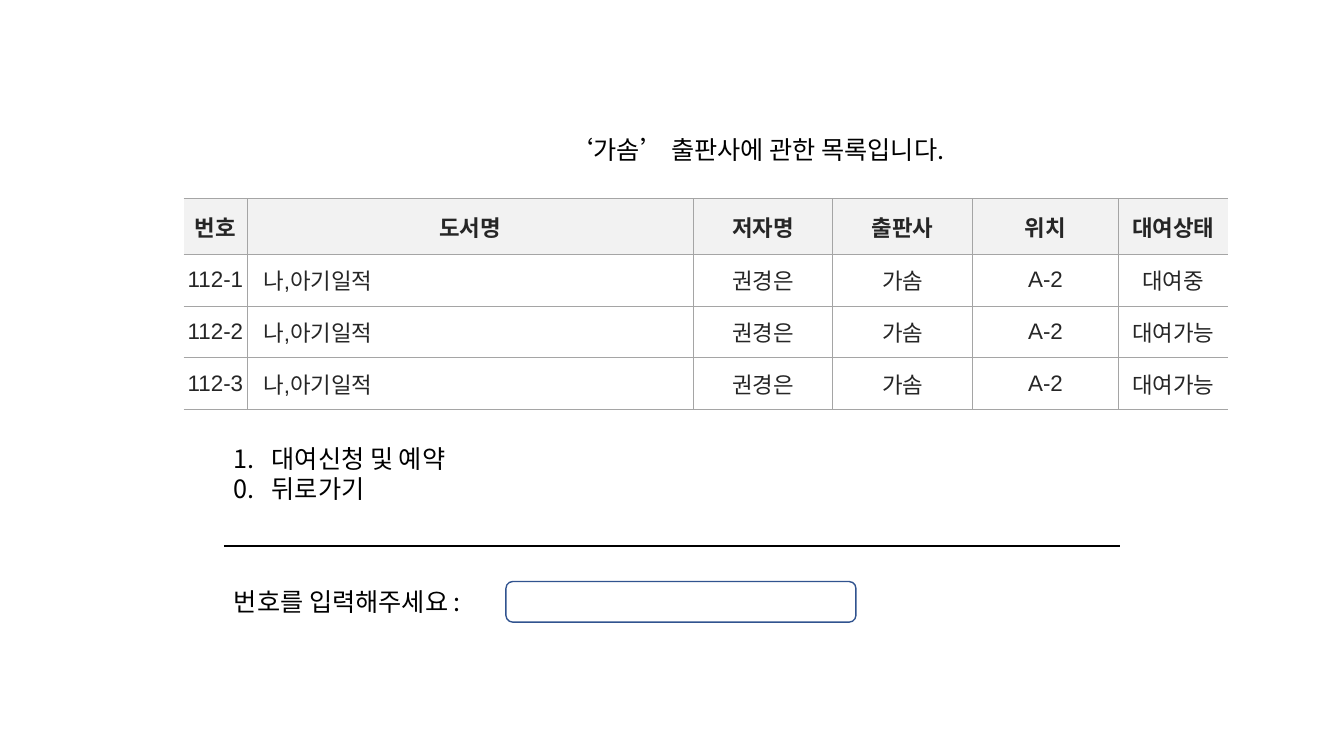
from lxml import etree
from pptx import Presentation
from pptx.dml.color import RGBColor
from pptx.enum.shapes import MSO_CONNECTOR, MSO_SHAPE
from pptx.enum.text import MSO_ANCHOR, MSO_AUTO_SIZE, PP_ALIGN
from pptx.oxml.ns import qn
from pptx.util import Pt

LEFT, CENTER = PP_ALIGN.LEFT, PP_ALIGN.CENTER
TOP, MIDDLE = MSO_ANCHOR.TOP, MSO_ANCHOR.MIDDLE
NO_AUTOFIT = MSO_AUTO_SIZE.NONE
STRAIGHT = MSO_CONNECTOR.STRAIGHT
ROUNDED = MSO_SHAPE.ROUNDED_RECTANGLE
TITLE_ONLY = 5
KOREAN, LATIN = "Noto Sans CJK KR", "Arial"
BLACK, WHITE, GRID = "000000", "FFFFFF", "A5A5A5"

COLUMN_WIDTHS = [45.4, 318.5, 99.8, 99.8, 104.4, 78.1]
ROW_HEIGHTS = [39.9, 36.9, 36.9, 36.9]
TITLE_COLUMN = 1
HEADINGS = ["번호", "도서명", "저자명", "출판사", "위치", "대여상태"]
PUBLISHER = "가솜"
BOOK = ["나,아기일적", "권경은", PUBLISHER, "A-2"]
STATUSES = ["대여중", "대여가능", "대여가능"]


def color(hex_code):
    return RGBColor.from_string(hex_code)


def add_run(paragraph, words, size=18, font=KOREAN, ink=BLACK, bold=False):
    run = paragraph.add_run()
    run.text = words
    run.font.size = Pt(size)
    run.font.name = font
    run.font.bold = bold
    run.font.color.rgb = color(ink)
    etree.SubElement(run.font._element, qn("a:ea"), typeface=KOREAN)


def set_frame(frame):
    frame.word_wrap = True
    frame.auto_size = NO_AUTOFIT
    frame.vertical_anchor = TOP
    frame.margin_left = frame.margin_right = Pt(7.2)
    frame.margin_top = frame.margin_bottom = Pt(3.6)


def add_text_box(slide, left, top, width, height):
    frame = slide.shapes.add_textbox(Pt(left), Pt(top), Pt(width), Pt(height)).text_frame
    set_frame(frame)
    return frame


def place_heading(slide, left, top, width, height):
    heading = slide.shapes.title
    heading.left, heading.top = Pt(left), Pt(top)
    heading.width, heading.height = Pt(width), Pt(height)
    set_frame(heading.text_frame)
    paragraph = heading.text_frame.paragraphs[0]
    paragraph.alignment = CENTER
    paragraph.line_spacing = 1.0
    paragraph.space_before = Pt(0)
    add_run(paragraph, f"‘{PUBLISHER}’ 출판사에 관한 목록입니다.")


def set_borders(cell, open_sides):
    properties = cell._tc.get_or_add_tcPr()
    for position, side in enumerate("LRTB"):
        border = etree.Element(qn(f"a:ln{side}"), w=str(Pt(0.75)))
        if side in open_sides:
            etree.SubElement(border, qn("a:noFill"))
        else:
            fill = etree.SubElement(border, qn("a:solidFill"))
            etree.SubElement(fill, qn("a:srgbClr"), val=GRID)
        properties.insert(position, border)


def fill_cell(cell, words, is_heading, is_book_title, open_sides):
    cell.fill.solid()
    cell.fill.fore_color.rgb = color("F2F2F2" if is_heading else WHITE)
    cell.vertical_anchor = MIDDLE
    cell.margin_left = Pt(11.5 if is_book_title else 0)
    cell.margin_right = cell.margin_top = cell.margin_bottom = Pt(0)
    paragraph = cell.text_frame.paragraphs[0]
    paragraph.alignment = LEFT if is_book_title else CENTER
    add_run(paragraph, words, 16, LATIN, "262626", is_heading)
    set_borders(cell, open_sides)


def add_book_table(slide, left, top):
    rows = [HEADINGS]
    for number, status in enumerate(STATUSES, 1):
        rows.append([f"112-{number}", *BOOK, status])
    table = slide.shapes.add_table(
        len(rows), len(HEADINGS), Pt(left), Pt(top),
        Pt(sum(COLUMN_WIDTHS)), Pt(sum(ROW_HEIGHTS))).table
    table.first_row = table.horz_banding = False
    for column, width in zip(table.columns, COLUMN_WIDTHS):
        column.width = Pt(width)
    for row, height in zip(table.rows, ROW_HEIGHTS):
        row.height = Pt(height)
    open_sides = {0: "L", len(HEADINGS) - 1: "R"}
    for r, entries in enumerate(rows):
        for c, words in enumerate(entries):
            fill_cell(table.cell(r, c), words, r == 0,
                      r > 0 and c == TITLE_COLUMN, open_sides.get(c, ""))


def add_menu(slide, left, top, width, height):
    frame = add_text_box(slide, left, top, width, height)
    reserve = frame.paragraphs[0]
    back = frame.add_paragraph()
    for paragraph in (reserve, back):
        properties = paragraph._p.get_or_add_pPr()
        properties.set("marL", str(Pt(27)))
        properties.set("indent", str(-Pt(27)))
    numbering = reserve._p.get_or_add_pPr()
    etree.SubElement(numbering, qn("a:buFont"), typeface=KOREAN)
    etree.SubElement(numbering, qn("a:buAutoNum"), type="arabicPeriod")
    add_run(reserve, "대여신청 및 예약")
    add_run(back, "0.\t뒤로가기")


def add_divider(slide, left, top, width):
    divider = slide.shapes.add_connector(
        STRAIGHT, Pt(left), Pt(top), Pt(left + width), Pt(top))
    divider.line.color.rgb = color(BLACK)
    divider.line.width = Pt(0.75)
    etree.SubElement(divider._element.spPr, qn("a:effectLst"))


def add_number_prompt(slide, left, top, label_width, field_width, height):
    label = add_text_box(slide, left, top, label_width, height)
    add_run(label.paragraphs[0], "번호를 입력해주세요 :")
    field = slide.shapes.add_shape(
        ROUNDED, Pt(left + label_width), Pt(top), Pt(field_width), Pt(height))
    field.shadow.inherit = False
    field.fill.solid()
    field.fill.fore_color.rgb = color(WHITE)
    field.line.color.rgb = color("31538F")
    field.line.width = Pt(1)


def main():
    presentation = Presentation()
    presentation.slide_width, presentation.slide_height = Pt(960), Pt(540)
    slide = presentation.slides.add_slide(presentation.slide_layouts[TITLE_ONLY])
    content_left = 160
    place_heading(slide, 363.6, 92.2, 353.5, 29)
    add_book_table(slide, 131.2, 141.8)
    add_menu(slide, content_left, 313.2, 264, 72.7)
    add_divider(slide, content_left, 390, 640)
    add_number_prompt(slide, content_left, 415.4, 201.4, 250, 29)
    presentation.save("out.pptx")


if __name__ == "__main__":
    main()
